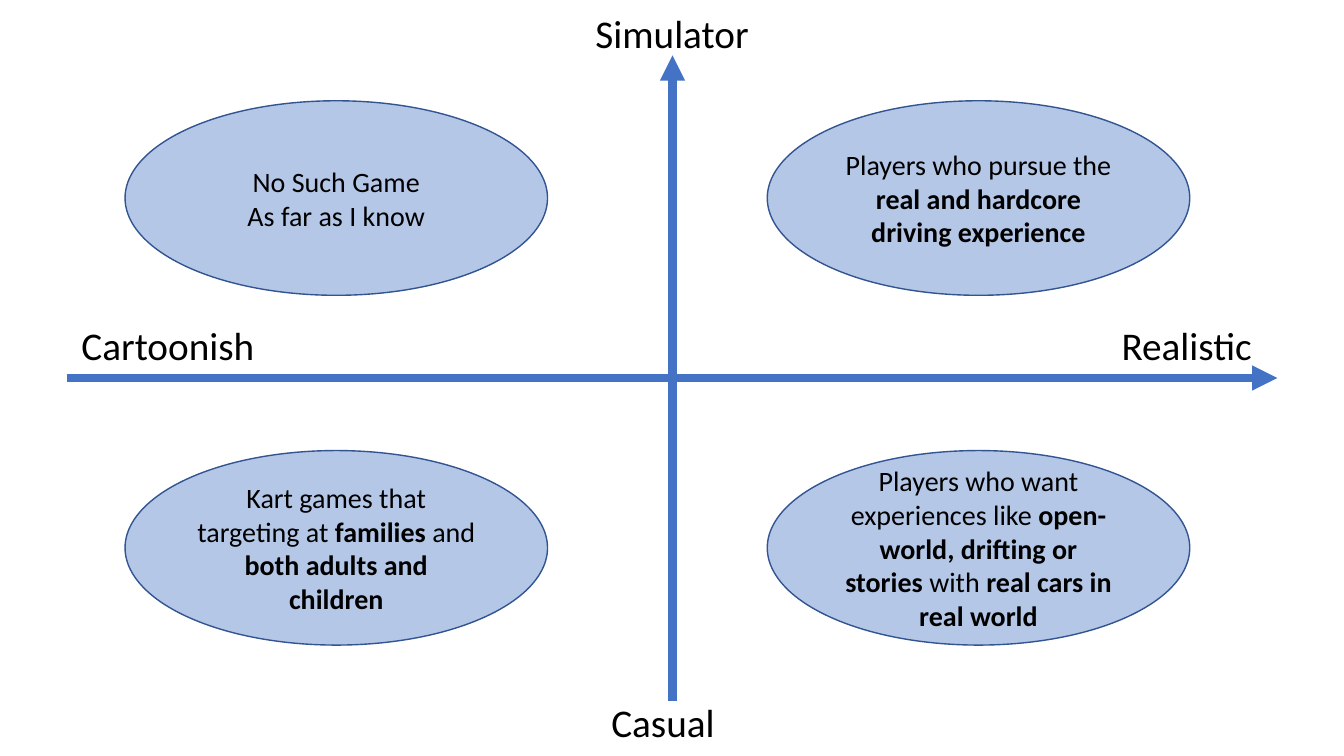
from dataclasses import dataclass

import pptx
import pptx.dml.color
import pptx.enum.shapes
import pptx.enum.text
import pptx.oxml.ns
import pptx.slide
import pptx.text.text
import pptx.util
from lxml import etree
from pptx.util import Inches

FONT = "Calibri"
COLORS = {"axis": "4472C4", "fill": "B4C7E7", "outline": "325491", "text": "000000"}
ELLIPSE_W, ELLIPSE_H = 4.19, 1.93
LEFT, RIGHT = 1.24, 7.61
TOP, BOTTOM = 1.0, 4.47


@dataclass
class Axis:
    x1: float
    y1: float
    x2: float
    y2: float


@dataclass
class Label:
    text: str
    left: float
    top: float
    width: float


@dataclass
class Segment:
    text: str
    bold: bool = False


@dataclass
class Quadrant:
    left: float
    top: float
    paragraphs: list[list[Segment]]


AXES = [Axis(0.66, 3.75, 12.67, 3.75), Axis(6.67, 6.95, 6.67, 0.55)]

LABELS = [
    Label("Cartoonish", 0.61, 3.14, 2.11),
    Label("Realistic", 10.92, 3.14, 1.7),
    Label("Casual", 4.1, 6.88, 4.95),
    Label("Simulator", 4.94, 0.04, 3.45),
]

QUADRANTS = [
    Quadrant(LEFT, TOP, [[Segment("No Such Game")], [Segment("As far as I know")]]),
    Quadrant(LEFT, BOTTOM, [[
        Segment("Kart games that targeting at "),
        Segment("families", True),
        Segment(" and "),
        Segment("both adults and children", True),
    ]]),
    Quadrant(RIGHT, TOP, [[
        Segment("Players who pursue the "),
        Segment("real and hardcore driving experience", True),
    ]]),
    Quadrant(RIGHT, BOTTOM, [[
        Segment("Players who want experiences like "),
        Segment("open-world, drifting or stories ", True),
        Segment("with "),
        Segment("real cars in real world", True),
    ]]),
]


def rgb(name: str) -> pptx.dml.color.RGBColor:
    return pptx.dml.color.RGBColor.from_string(COLORS[name])


def style_paragraph(p: pptx.text.text._Paragraph, size: float) -> None:
    p.alignment = pptx.enum.text.PP_ALIGN.CENTER
    p.font.name = FONT
    p.font.size = pptx.util.Pt(size)
    p.font.color.rgb = rgb("text")


def add_axis(s: pptx.slide.Slide, axis: Axis) -> None:
    line = s.shapes.add_connector(
        pptx.enum.shapes.MSO_CONNECTOR.STRAIGHT,
        Inches(axis.x1), Inches(axis.y1), Inches(axis.x2), Inches(axis.y2))
    line.line.color.rgb = rgb("axis")
    line.line.width = pptx.util.Pt(6)
    qn = pptx.oxml.ns.qn
    etree.SubElement(line.line._get_or_add_ln(), qn("a:tailEnd"), type="triangle")
    etree.SubElement(line._element.spPr, qn("a:effectLst"))


def add_label(s: pptx.slide.Slide, label: Label) -> None:
    box = s.shapes.add_textbox(
        Inches(label.left), Inches(label.top), Inches(label.width), Inches(0.57))
    tf = box.text_frame
    tf.word_wrap = True
    tf.auto_size = pptx.enum.text.MSO_AUTO_SIZE.SHAPE_TO_FIT_TEXT
    tf.text = label.text
    style_paragraph(tf.paragraphs[0], 28)


def add_quadrant(s: pptx.slide.Slide, quadrant: Quadrant) -> None:
    sp = s.shapes.add_shape(
        pptx.enum.shapes.MSO_SHAPE.OVAL,
        Inches(quadrant.left), Inches(quadrant.top), Inches(ELLIPSE_W), Inches(ELLIPSE_H))
    sp.shadow.inherit = False
    sp.fill.solid()
    sp.fill.fore_color.rgb = rgb("fill")
    sp.line.color.rgb = rgb("outline")
    sp.line.width = pptx.util.Pt(1)
    tf = sp.text_frame
    tf.word_wrap = True
    tf.vertical_anchor = pptx.enum.text.MSO_ANCHOR.MIDDLE
    for i, segments in enumerate(quadrant.paragraphs):
        p = tf.add_paragraph() if i else tf.paragraphs[0]
        style_paragraph(p, 20)
        for segment in segments:
            r = p.add_run()
            r.text = segment.text
            r.font.bold = segment.bold


def main() -> None:
    prs = pptx.Presentation()
    prs.slide_width, prs.slide_height = Inches(13.33), Inches(7.5)
    s = prs.slides.add_slide(prs.slide_layouts[6])
    for axis in AXES:
        add_axis(s, axis)
    for label in LABELS:
        add_label(s, label)
    for quadrant in QUADRANTS:
        add_quadrant(s, quadrant)
    prs.save("out.pptx")


if __name__ == "__main__":
    main()
